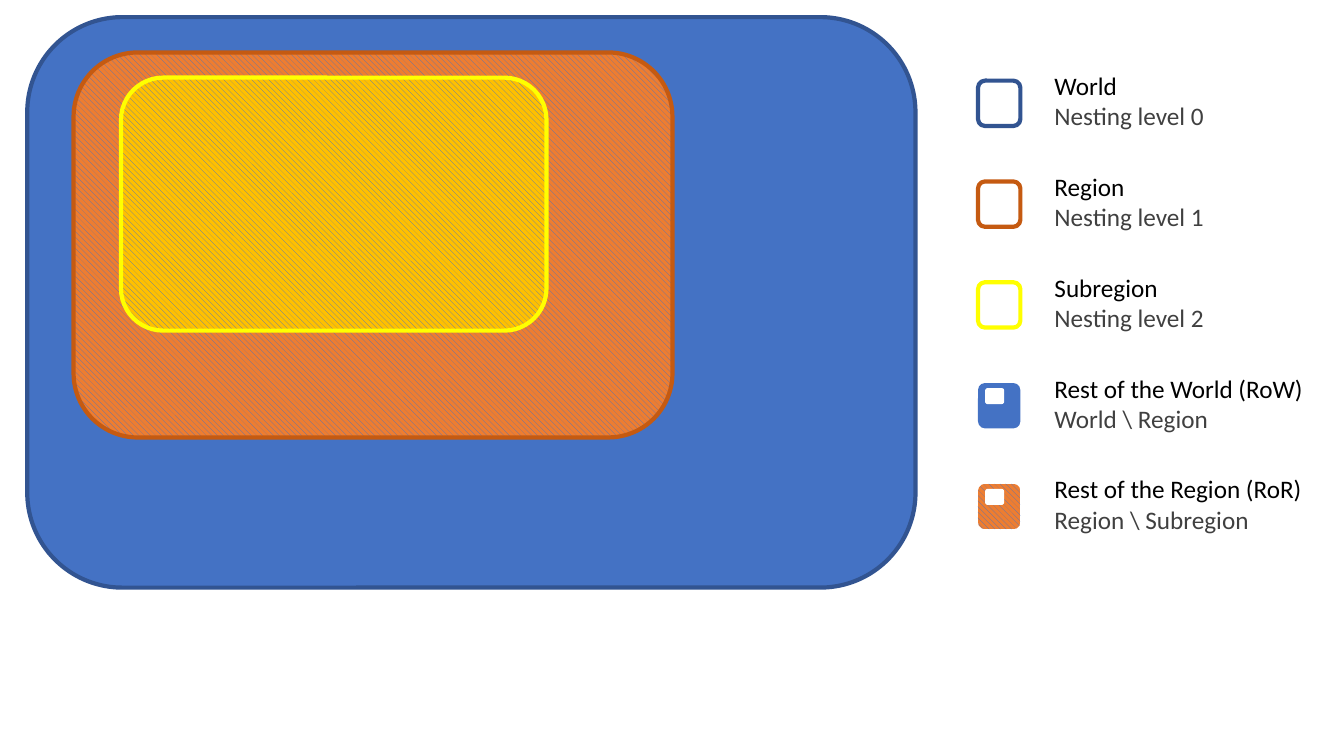
from pptx import Presentation
from pptx.dml.color import RGBColor
from pptx.enum.dml import MSO_PATTERN
from pptx.enum.shapes import MSO_SHAPE
from pptx.enum.text import MSO_AUTO_SIZE
from pptx.util import Inches, Pt

ROUNDED = MSO_SHAPE.ROUNDED_RECTANGLE
HATCH = MSO_PATTERN.WIDE_DOWNWARD_DIAGONAL
FIT_TEXT = MSO_AUTO_SIZE.SHAPE_TO_FIT_TEXT

BLUE = RGBColor(0x44, 0x72, 0xC4)
DARK_BLUE = RGBColor(0x32, 0x54, 0x91)
ORANGE = RGBColor(0xED, 0x7D, 0x31)
DARK_ORANGE = RGBColor(0xC5, 0x5A, 0x11)
GOLD = RGBColor(0xFF, 0xC0, 0x00)
YELLOW = RGBColor(0xFF, 0xFF, 0x00)
WHITE = RGBColor(0xFF, 0xFF, 0xFF)
BLACK = RGBColor(0x00, 0x00, 0x00)
GREY = RGBColor(0x40, 0x40, 0x40)

prs = Presentation()
prs.slide_width = Inches(13.33)
prs.slide_height = Inches(7.5)
slide = prs.slides.add_slide(prs.slide_layouts[6])


def add_area(left, top, width, height, color, outline, hatched=False):
    area = slide.shapes.add_shape(
        ROUNDED, Inches(left), Inches(top), Inches(width), Inches(height))
    area.shadow.inherit = False
    if color is None:
        area.fill.background()
    elif hatched:
        area.fill.patterned()
        area.fill.pattern = HATCH
        area.fill.fore_color.rgb = BLUE
        area.fill.back_color.rgb = color
    else:
        area.fill.solid()
        area.fill.fore_color.rgb = color
    if outline is None:
        area.line.fill.background()
    else:
        area.line.color.rgb = outline
        area.line.width = Pt(3)


add_area(0.27, 0.17, 8.81, 5.66, BLUE, DARK_BLUE)
add_area(0.73, 0.52, 5.94, 3.82, ORANGE, DARK_ORANGE, hatched=True)
add_area(1.2, 0.77, 4.22, 2.51, GOLD, YELLOW, hatched=True)

LEGEND = [
    ("World", "Nesting level 0", None, DARK_BLUE, False, 2.05),
    ("Region", "Nesting level 1", None, DARK_ORANGE, False, 2.05),
    ("Subregion", "Nesting level 2", None, YELLOW, False, 2.05),
    ("Rest of the World (RoW)", "World \\ Region", BLUE, None, False, 2.78),
    ("Rest of the Region (RoR)", "Region \\ Subregion", ORANGE, None, True, 2.78),
]

for row, (term, meaning, color, outline, hatched, width) in enumerate(LEGEND):
    add_area(9.7, 0.8 + row, 0.42, 0.45, color, outline, hatched)
    if color is not None:
        add_area(9.77, 0.85 + row, 0.19, 0.16, WHITE, None)

    label = slide.shapes.add_textbox(
        Inches(10.36), Inches(0.65 + row), Inches(width), Inches(0.71)).text_frame
    label.word_wrap = True
    label.auto_size = FIT_TEXT
    for line, (words, ink) in enumerate([(term, BLACK), (meaning, GREY)]):
        paragraph = label.add_paragraph() if line else label.paragraphs[0]
        run = paragraph.add_run()
        run.text = words
        run.font.name = "Calibri"
        run.font.size = Pt(18)
        run.font.color.rgb = ink

prs.save("out.pptx")
